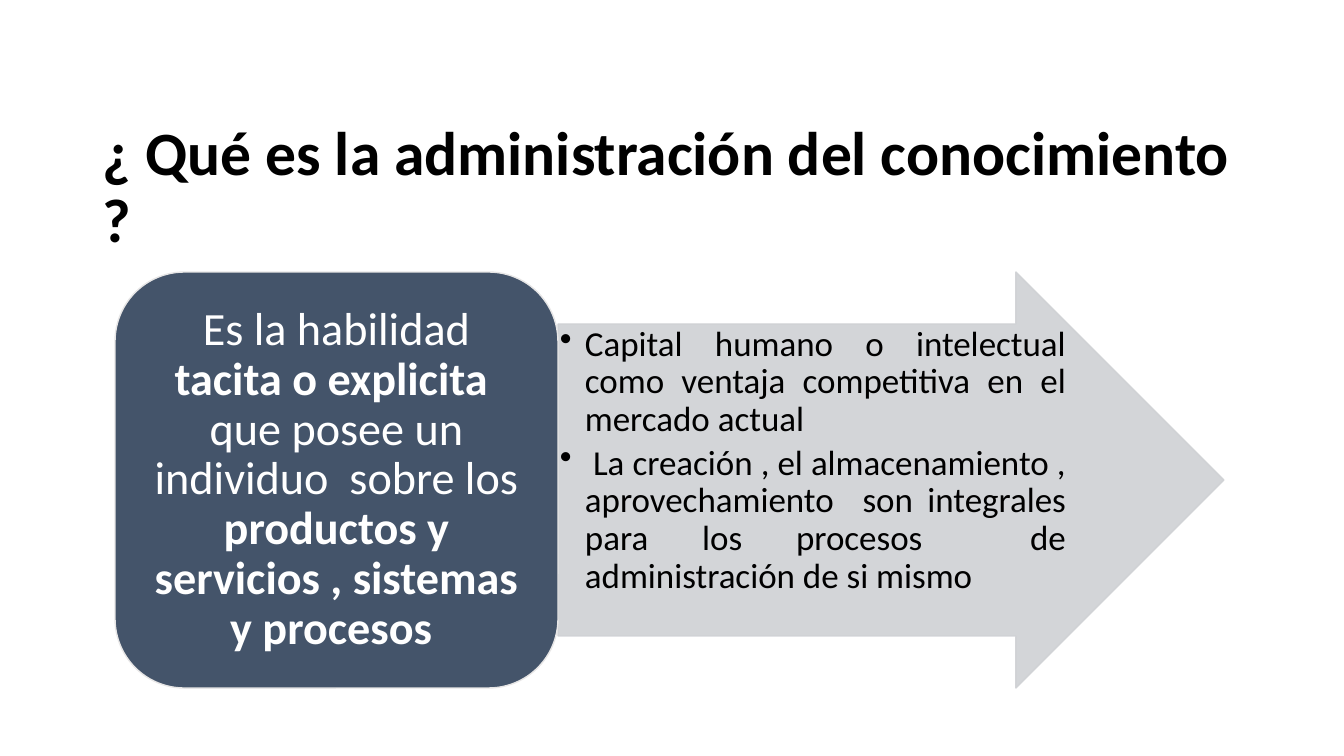
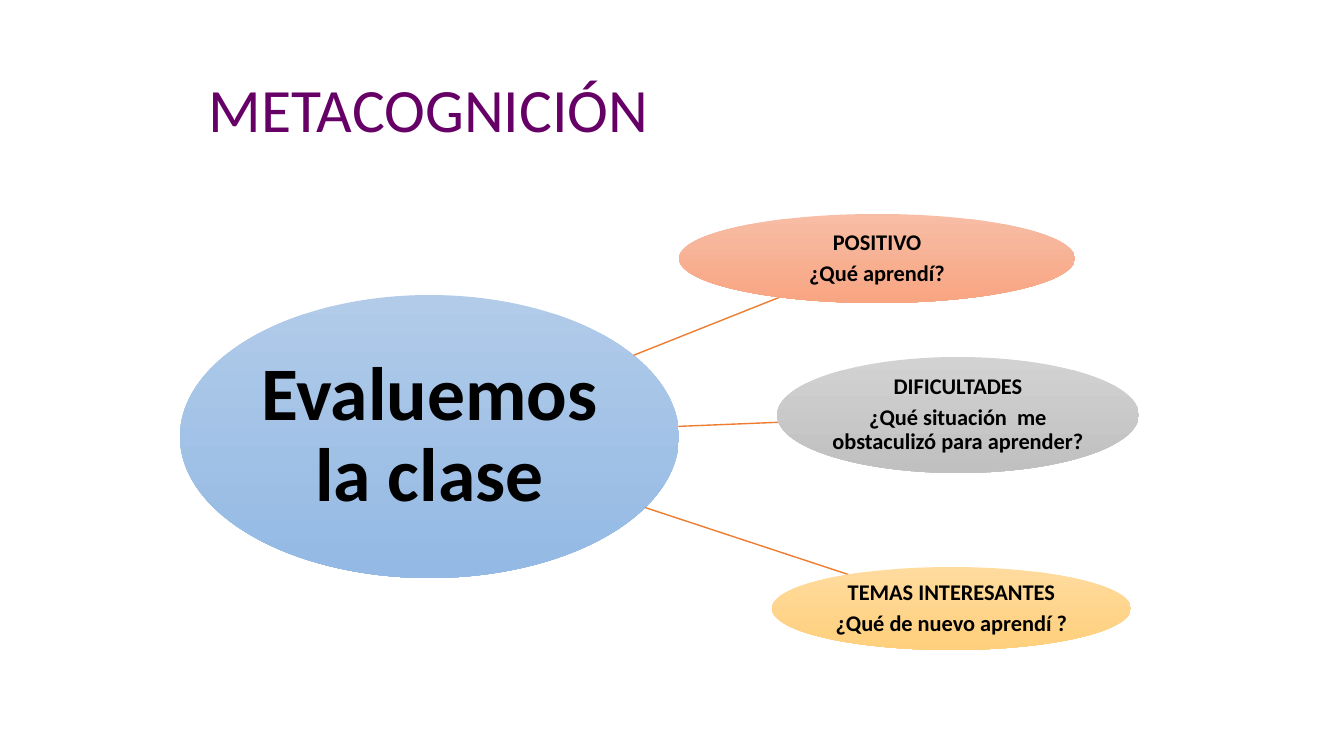
"""Build two slides on knowledge management and metacognition."""
import math

import lxml.etree
import pptx
import pptx.dml.color
import pptx.enum.shapes
import pptx.enum.text
import pptx.oxml.ns
import pptx.util

PX = 914400 / 100.8
FONT = "Calibri"
INK = {
    "black": "000000", "white": "FFFFFF", "plum": "660066", "navy": "44546A",
    "pale": "E7E6E6", "mist": "CFD1D4", "link": "ED7D31",
}
FADE = {
    "blue": ("B1CBE9", "93B9E4"), "coral": ("F7BDA5", "F8A582"),
    "grey": ("D2D2D2", "C0C0C0"), "gold": ("FFDB9E", "FFD07C"),
}
FORM = pptx.enum.shapes.MSO_SHAPE
ALIGN = pptx.enum.text.PP_ALIGN
ANCHOR = pptx.enum.text.MSO_ANCHOR
qn = pptx.oxml.ns.qn


def emu(*sizes):
    """Turn pixels into EMU."""
    return [pptx.util.Emu(round(size * PX)) for size in sizes]


def rgb(code):
    """Turn a hex string into a colour."""
    return pptx.dml.color.RGBColor.from_string(code)


def style(para, size, ink, bold, align):
    """Format a paragraph and its runs."""
    para.alignment = align
    para.line_spacing = 0.9
    for run in para.runs:
        run.font.name = FONT
        run.font.size = pptx.util.Pt(size)
        run.font.bold = bold
        run.font.color.rgb = rgb(INK[ink])


def write(shape, lines, size, ink, bold=False, align=ALIGN.CENTER,
          pad=(0, 0), gap=0, anchor=ANCHOR.MIDDLE):
    """Fill a shape with paragraphs and return them."""
    frame = shape.text_frame
    frame.word_wrap = True
    frame.vertical_anchor = anchor
    frame.margin_left, frame.margin_top = emu(*pad)
    frame.margin_right, frame.margin_bottom = emu(*pad)
    frame.text = "\n".join(lines)
    for para in frame.paragraphs:
        style(para, size, ink, bold, align)
    for para in frame.paragraphs[:-1]:
        para.space_after = pptx.util.Pt(gap)
    return frame.paragraphs


def start(deck, text, box, ink, bold=False):
    """Add a slide with its title and return it."""
    slide = deck.slides.add_slide(deck.slide_layouts[5])
    title = slide.shapes.title
    title.left, title.top, title.width, title.height = emu(*box)
    write(title, [text], 44, ink, bold, ALIGN.LEFT, (10, 5))
    title.text_frame.auto_size = pptx.enum.text.MSO_AUTO_SIZE.NONE
    return slide


def add(slide, form, box):
    """Add a flat preset shape."""
    shape = slide.shapes.add_shape(form, *emu(*box))
    shape.shadow.inherit = False
    return shape


def paint(shape, fill, edge):
    """Give a shape a plain fill and a thin edge."""
    shape.fill.solid()
    shape.fill.fore_color.rgb = rgb(INK[fill])
    shape.line.color.rgb = rgb(INK[edge])
    shape.line.width = pptx.util.Pt(1)


def arrow(slide, box, lines):
    """Place the bulleted arrow."""
    shape = add(slide, FORM.RIGHT_ARROW, box)
    shape.adjustments[0], shape.adjustments[1] = 0.75, 0.5
    paint(shape, "mist", "mist")
    for tint in shape._element.spPr.iter(qn("a:srgbClr")):
        lxml.etree.SubElement(tint, qn("a:alpha")).set("val", "90000")
    paras = write(shape, lines, 25, "black", align=ALIGN.JUSTIFY,
                  pad=(2, 2), gap=4, anchor=ANCHOR.TOP)
    dent = emu(25)[0]
    for para in paras:
        props = para._p.get_or_add_pPr()
        props.set("marL", str(dent))
        props.set("indent", str(-dent))
        lxml.etree.SubElement(props, qn("a:buChar")).set("char", "•")


def panel(slide, box, parts):
    """Place the rounded panel, with every second part in bold."""
    shape = add(slide, FORM.ROUNDED_RECTANGLE, box)
    paint(shape, "navy", "pale")
    para = write(shape, [""], 33, "white", pad=(14, 7))[0]
    for part in parts:
        para.add_run().text = part
    style(para, 33, "white", False, ALIGN.CENTER)
    for run in para.runs[1::2]:
        run.font.bold = True


def bubble(slide, box, fade, lines, size, pad):
    """Place an ellipse with a downward gradient."""
    shape = add(slide, FORM.OVAL, box)
    shape.fill.gradient()
    shape.fill.gradient_angle = 270
    for stop, code in zip(shape.fill.gradient_stops, FADE[fade]):
        stop.color.rgb = rgb(code)
    shape.line.fill.background()
    write(shape, lines, size, "black", True, pad=(pad, pad), gap=5)


def rim(box, goal):
    """Find where the ray to the centre of goal leaves an ellipse."""
    (x, y), (u, v) = [(b[0] + b[2] / 2, b[1] + b[3] / 2) for b in (box, goal)]
    ratio = 1 / math.hypot((u - x) * 2 / box[2], (v - y) * 2 / box[3])
    return x + (u - x) * ratio, y + (v - y) * ratio


def link(slide, hub, leaf):
    """Join two ellipses from rim to rim."""
    kind = pptx.enum.shapes.MSO_CONNECTOR.STRAIGHT
    line = slide.shapes.add_connector(kind, *emu(*rim(hub, leaf), *rim(leaf, hub)))
    line.line.color.rgb = rgb(INK["link"])
    line.line.width = pptx.util.Pt(1)
    lxml.etree.SubElement(line._element.spPr, qn("a:effectLst"))


def concept(deck):
    """Build the slide that defines knowledge management."""
    slide = start(deck, "¿ Qué es la administración del conocimiento ?",
                  (93, 116, 1159, 146), "black", True)
    arrow(slide, (558, 272, 666, 416), [
        "Capital humano o intelectual como ventaja competitiva en el mercado actual",
        " La creación , el almacenamiento , aprovechamiento  son integrales "
        "para los procesos  de administración de si mismo",
    ])
    panel(slide, (115, 272, 443, 416), [
        "Es la habilidad ", "tacita o explicita  ",
        "que posee un individuo  sobre los ",
        "productos y servicios , sistemas y procesos ",
    ])


def review(deck):
    """Build the slide that reviews the class."""
    slide = start(deck, "METACOGNICIÓN", (199, 50, 1145, 126), "plum")
    hub = (180, 295, 499, 283)
    bubble(slide, hub, "blue", ["Evaluemos la clase"], 54, 4)
    leaves = [
        ((679, 214, 396, 89), "coral", ["POSITIVO", "¿Qué aprendí?"]),
        ((777, 357, 362, 116), "grey",
         ["DIFICULTADES", "¿Qué situación  me obstaculizó para aprender?"]),
        ((772, 567, 359, 83), "gold",
         ["TEMAS INTERESANTES", "¿Qué de nuevo aprendí ?"]),
    ]
    for box, fade, lines in leaves:
        link(slide, hub, box)
        bubble(slide, box, fade, lines, 16, 1)


def main():
    """Build and save the deck."""
    deck = pptx.Presentation()
    deck.slide_width, deck.slide_height = emu(1344, 756)
    concept(deck)
    review(deck)
    deck.save("out.pptx")


main()
